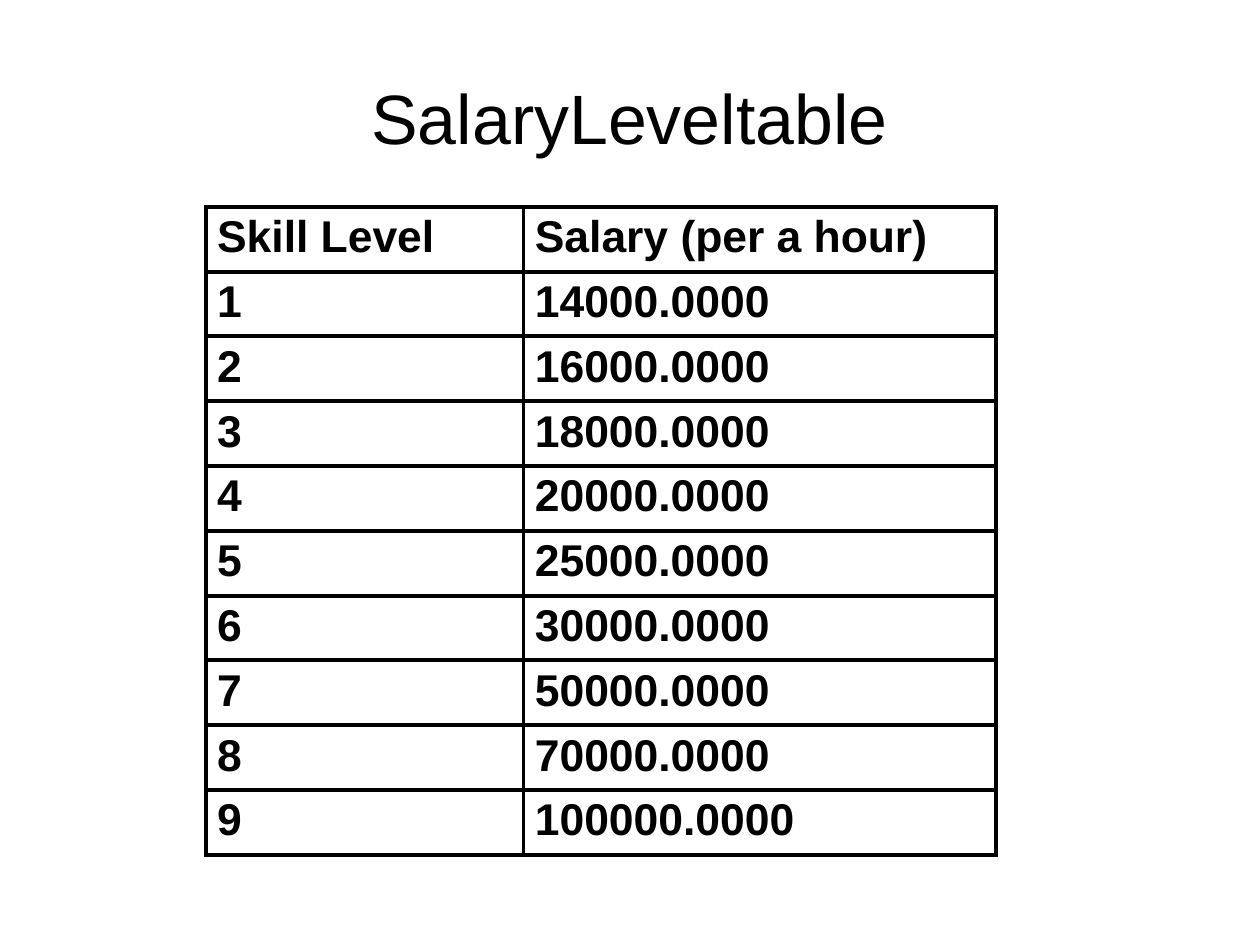
from lxml import etree
from pptx import Presentation
from pptx.dml.color import RGBColor
from pptx.enum.text import MSO_ANCHOR, PP_ALIGN
from pptx.oxml.ns import qn
from pptx.util import Inches, Pt

CENTER = PP_ALIGN.CENTER
MIDDLE = MSO_ANCHOR.MIDDLE
TOP = MSO_ANCHOR.TOP
TITLE_ONLY = 5

CM_PER_INCH = 2.54
FONT = "Arial"
COLORS = {"ink": "000000", "paper": "FFFFFF"}
BORDER_WIDTH = Pt(2.83)
COLUMN_WIDTHS = (2.78, 4.13)
TABLE_HEIGHT = 5.67

HEADINGS = ("Skill Level", "Salary (per a hour)")
SALARIES = (
    "14000.0000", "16000.0000", "18000.0000",
    "20000.0000", "25000.0000", "30000.0000",
    "50000.0000", "70000.0000", "100000.0000",
)


def color(name):
    return RGBColor.from_string(COLORS[name])


def add_span(para, text, size, bold=False):
    span = para.add_run()
    span.text = text
    span.font.name = FONT
    span.font.size = Pt(size)
    span.font.bold = bold
    span.font.color.rgb = color("ink")


def add_title(page, text):
    title = page.shapes.title
    title.left, title.top = Inches(0.55), Inches(0.38)
    title.width, title.height = Inches(9.92), Inches(1.28)
    frame = title.text_frame
    frame.margin_left = frame.margin_right = 0
    frame.margin_top = frame.margin_bottom = 0
    frame.vertical_anchor = MIDDLE
    frame.word_wrap = True
    para = frame.paragraphs[0]
    para.alignment = CENTER
    add_span(para, text, 44)


def set_borders(cell):
    """Draw a solid line on all four sides of a cell."""
    properties = cell._tc.get_or_add_tcPr()
    for position, side in enumerate(("a:lnL", "a:lnR", "a:lnT", "a:lnB")):
        line = etree.Element(qn(side), w=str(BORDER_WIDTH))
        fill = etree.SubElement(line, qn("a:solidFill"))
        etree.SubElement(fill, qn("a:srgbClr"), val=COLORS["ink"])
        properties.insert(position, line)


def fill_cell(cell, text):
    cell.fill.background()
    cell.margin_left = cell.margin_right = Inches(0.1)
    cell.margin_top = cell.margin_bottom = Inches(0.05)
    cell.vertical_anchor = TOP
    add_span(cell.text_frame.paragraphs[0], text, 28, bold=True)
    set_borders(cell)


def add_salary_table(page, rows):
    frame = page.shapes.add_table(
        len(rows), len(COLUMN_WIDTHS), Inches(1.8), Inches(1.81),
        Inches(sum(COLUMN_WIDTHS)), Inches(TABLE_HEIGHT))
    table = frame.table
    table.horz_banding = False
    for column, width in zip(table.columns, COLUMN_WIDTHS):
        column.width = Inches(width)
    for table_row, texts in zip(table.rows, rows):
        table_row.height = Inches(TABLE_HEIGHT / len(rows))
        for cell, text in zip(table_row.cells, texts):
            fill_cell(cell, text)


def main():
    deck = Presentation()
    deck.slide_width = Inches(28 / CM_PER_INCH)
    deck.slide_height = Inches(21 / CM_PER_INCH)
    page = deck.slides.add_slide(deck.slide_layouts[TITLE_ONLY])
    page.background.fill.solid()
    page.background.fill.fore_color.rgb = color("paper")
    add_title(page, "SalaryLeveltable")
    levels = [(str(level), salary) for level, salary in enumerate(SALARIES, 1)]
    add_salary_table(page, [HEADINGS, *levels])
    deck.save("out.pptx")


if __name__ == "__main__":
    main()
